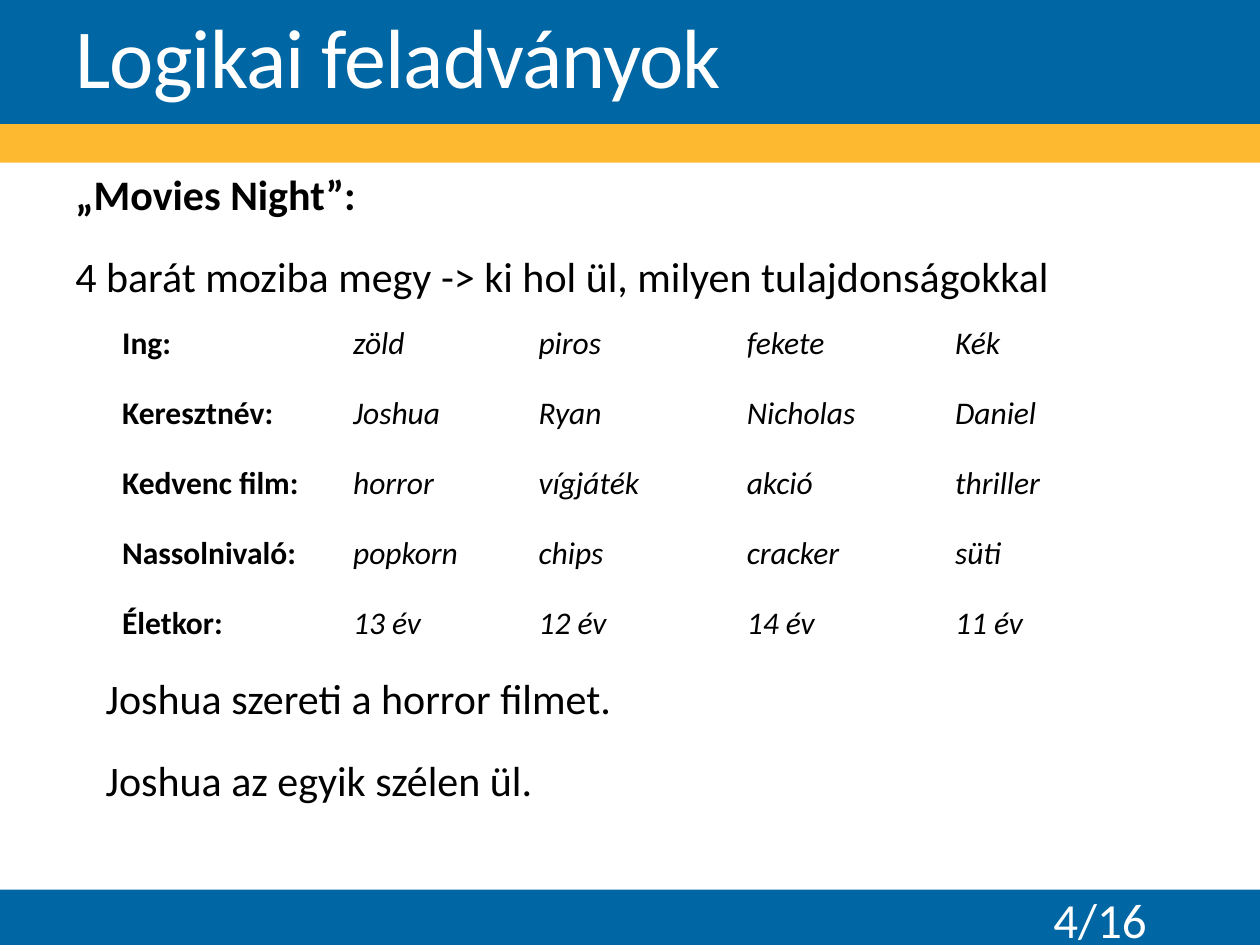
from dataclasses import dataclass

from pptx import Presentation
from pptx import util as u
from pptx.dml.color import RGBColor
from pptx.enum import shapes, text

# Content
TITLE = "Logikai feladványok"
PAGE_NUMBER = "4/16"
INTRO = ["„Movies Night”:", "4 barát moziba megy -> ki hol ül, milyen tulajdonságokkal"]
CLUES = ["Joshua szereti a horror filmet.", "Joshua az egyik szélen ül."]
TRAITS = {
    "Ing:": ["zöld", "piros", "fekete", "Kék"],
    "Keresztnév:": ["Joshua", "Ryan", "Nicholas", "Daniel"],
    "Kedvenc film:": ["horror", "vígjáték", "akció", "thriller"],
    "Nassolnivaló:": ["popkorn", "chips", "cracker", "süti"],
    "Életkor:": ["13 év", "12 év", "14 év", "11 év"],
}


@dataclass(frozen=True)
class Theme:
    font: str = "Calibri"
    blue: str = "0066A4"
    yellow: str = "FDBA31"
    white: str = "FFFFFF"
    black: str = "000000"
    title: int = 48
    number: int = 28
    body: int = 24
    table: int = 18


THEME = Theme()

# Layout in points: left, top, width, height
WIDTH, HEIGHT = 720, 540
BANDS = [
    (0, 508.4, WIDTH, HEIGHT - 508.4, THEME.blue),
    (0, 0, WIDTH, 71, THEME.blue),
    (0, 71, WIDTH, 22, THEME.yellow),
]
TITLE_AREA = (36, 6.5, 594, 57.6)
NUMBER_AREA = (571.7, 510.5, 90.7, 28.8)
INTRO_AREA = (36, 93, 587.5, 83.5)
CLUE_AREA = (53.3, 381, 569.5, 131)
TABLE_ORIGIN = (62.6, 176.5)
COLUMNS = [132, 106, 119, 119, 119]
ROW_HEIGHT = 40


def points(*lengths):
    return [u.Pt(length) for length in lengths]


def style(para, size, color, bold=False, italic=False):
    for span in para.runs:
        font = span.font
        font.name, font.size = THEME.font, u.Pt(size)
        font.bold, font.italic = bold, italic
        font.color.rgb = RGBColor.from_string(color)


def add_band(page, left, top, width, height, color):
    band = page.shapes.add_shape(
        shapes.MSO_SHAPE.RECTANGLE, *points(left, top, width, height))
    band.shadow.inherit = False
    band.fill.solid()
    band.fill.fore_color.rgb = RGBColor.from_string(color)
    band.line.fill.background()


def add_text(page, area, lines, size, color, anchor=text.MSO_ANCHOR.TOP, gap=0):
    frame = page.shapes.add_textbox(*points(*area)).text_frame
    frame.word_wrap = True
    frame.vertical_anchor = anchor
    frame.text = "\n".join(lines)
    for para in frame.paragraphs:
        para.space_after = u.Pt(gap)
        style(para, size, color)
    return frame.paragraphs


def add_traits(page):
    table = page.shapes.add_table(
        len(TRAITS), len(COLUMNS),
        *points(*TABLE_ORIGIN, sum(COLUMNS), ROW_HEIGHT * len(TRAITS))).table
    table.first_row = table.horz_banding = False
    for column, width in zip(table.columns, COLUMNS):
        column.width = u.Pt(width)
    for row, (label, values) in zip(table.rows, TRAITS.items()):
        row.height = u.Pt(ROW_HEIGHT)
        for index, (cell, value) in enumerate(zip(row.cells, [label, *values])):
            cell.fill.background()
            cell.vertical_anchor = text.MSO_ANCHOR.MIDDLE
            cell.text = value
            style(cell.text_frame.paragraphs[0], THEME.table, THEME.black,
                  bold=index == 0, italic=index > 0)


def main():
    deck = Presentation()
    deck.slide_width, deck.slide_height = points(WIDTH, HEIGHT)
    page = deck.slides.add_slide(deck.slide_layouts[6])

    # Header and footer bands
    for band in BANDS:
        add_band(page, *band)

    # Title, slightly condensed
    heading = add_text(page, TITLE_AREA, [TITLE], THEME.title, THEME.white,
                       text.MSO_ANCHOR.BOTTOM)[0]
    heading.line_spacing = 0.85
    heading.runs[0].font._element.set("spc", "-50")

    # Page number
    number = add_text(page, NUMBER_AREA, [PAGE_NUMBER], THEME.number, THEME.white,
                      text.MSO_ANCHOR.MIDDLE)[0]
    number.alignment = text.PP_ALIGN.RIGHT

    # Puzzle: introduction, traits and clues
    intro = add_text(page, INTRO_AREA, INTRO, THEME.body, THEME.black, gap=18)
    intro[0].runs[0].font.bold = True
    add_traits(page)
    add_text(page, CLUE_AREA, CLUES, THEME.body, THEME.black, gap=18)

    deck.save("out.pptx")


if __name__ == "__main__":
    main()
